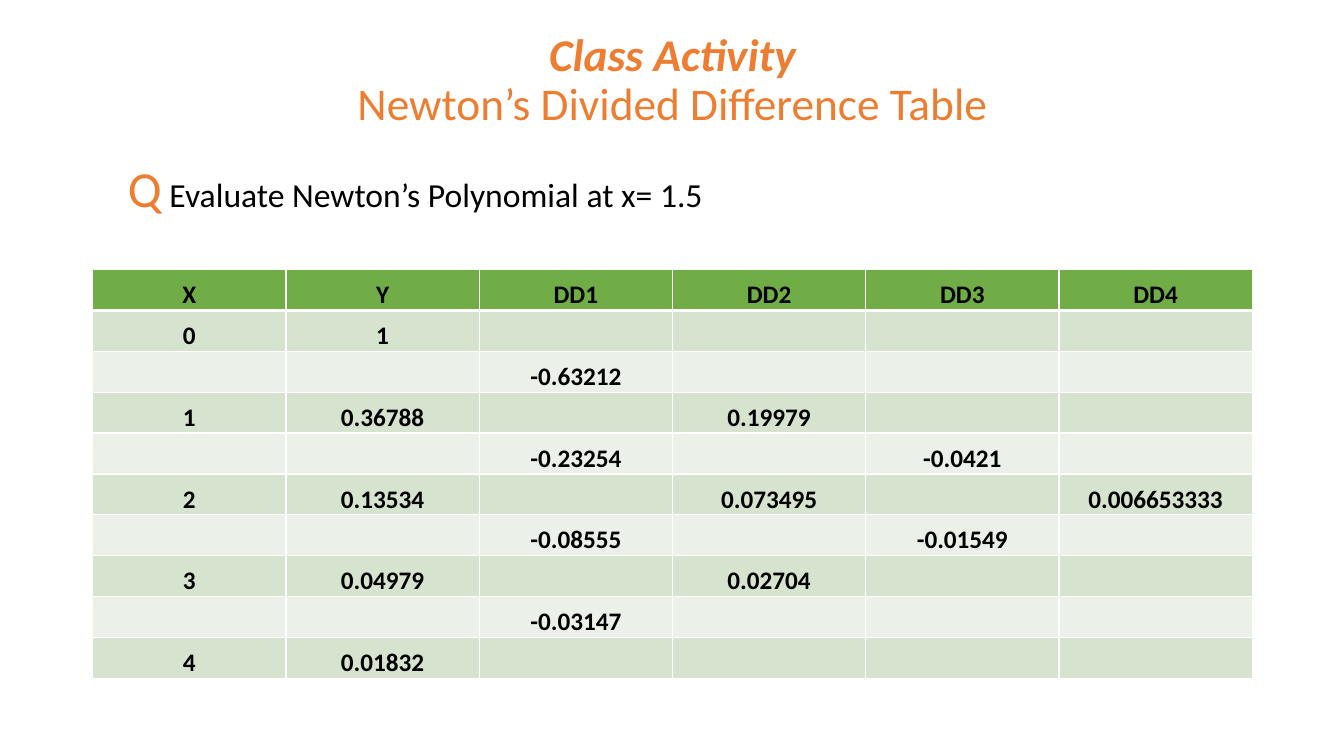
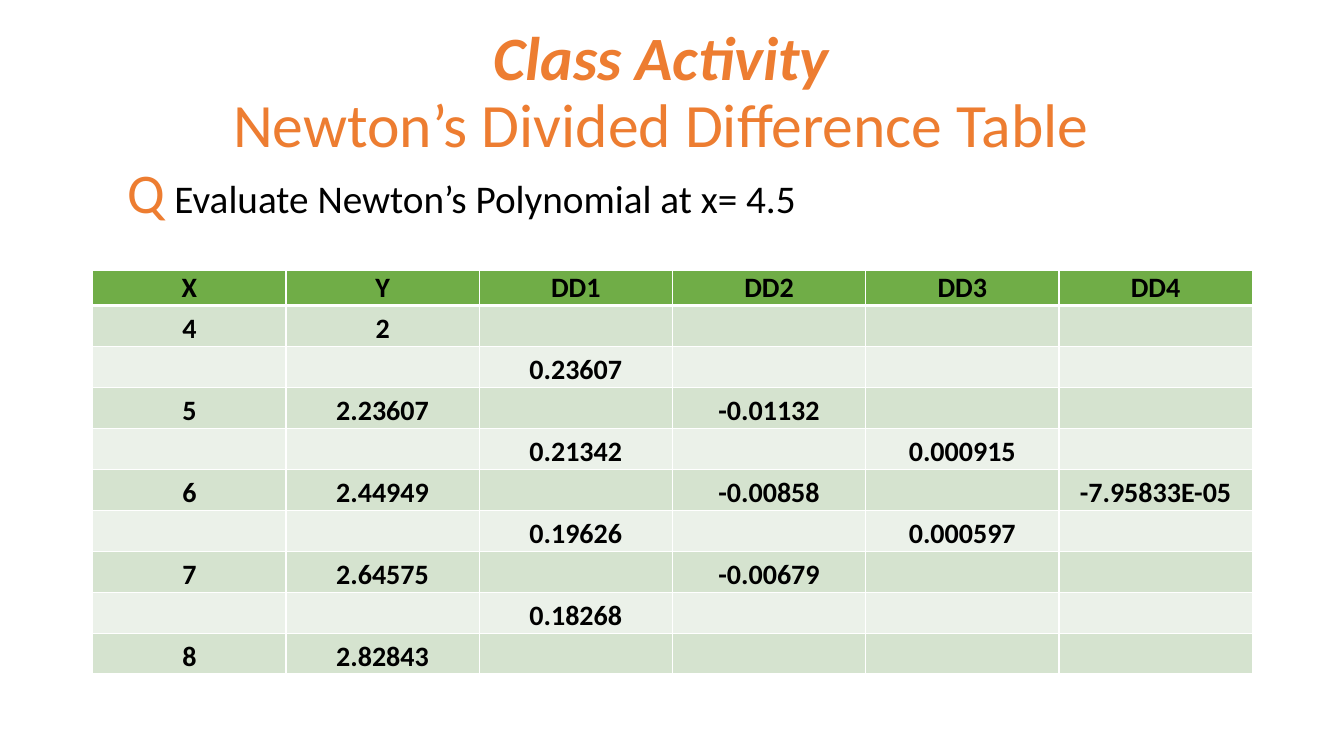
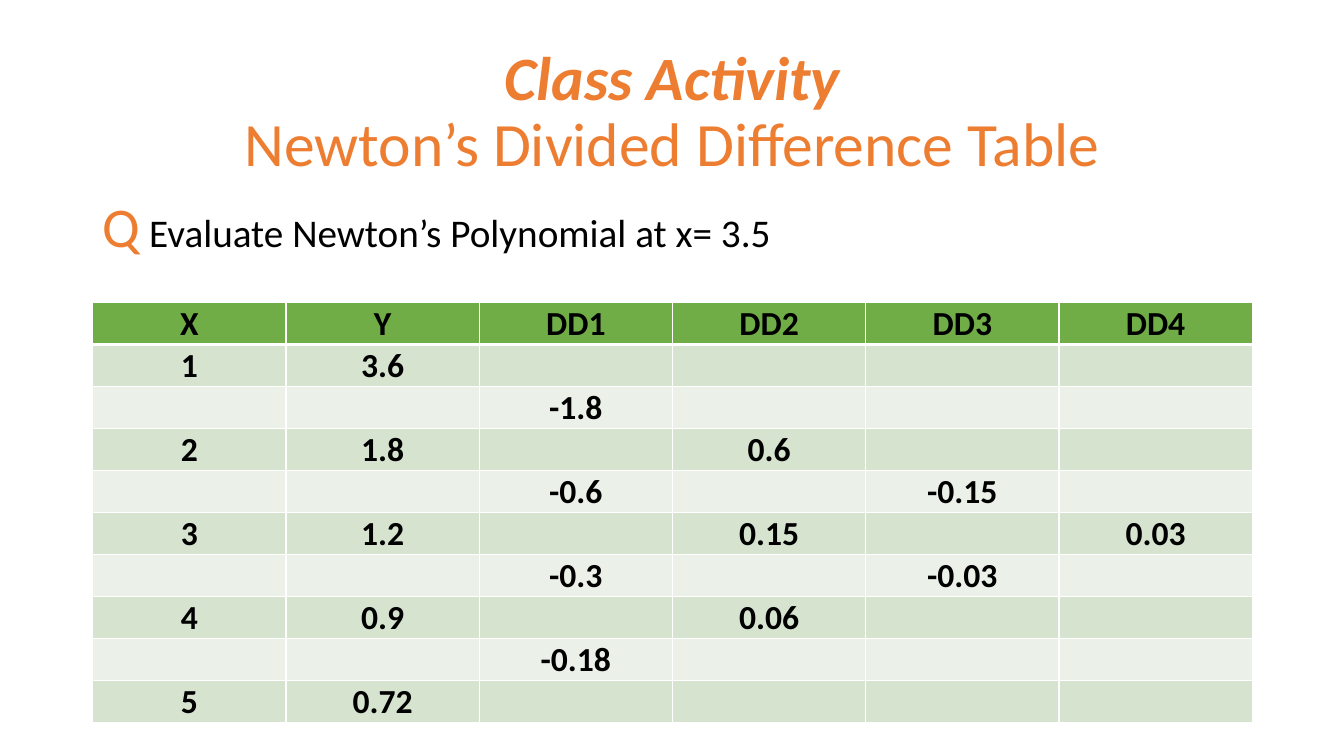
import copy
from dataclasses import dataclass

import lxml.etree
import pptx
import pptx.dml.color
import pptx.enum.text
import pptx.oxml.ns
import pptx.util

Inches = pptx.util.Inches
Pt = pptx.util.Pt

# Shared look
FONT = "Calibri"
ORANGE, BLACK, WHITE = "ED7D31", "000000", "FFFFFF"
HEADER_GREEN, DARK_BAND, LIGHT_BAND = "70AD47", "D5E3CF", "EBF1E9"
HEADINGS = ["X", "Y", "DD1", "DD2", "DD3", "DD4"]
ROW_COUNT = 10
TABLE_LEFT, TABLE_WIDTH = 0.92, 11.5
TITLE_ONLY = 5


@dataclass
class Frame:
    left: float
    top: float
    width: float
    height: float

    def lengths(self) -> list[int]:
        return [Inches(value) for value in (self.left, self.top, self.width, self.height)]


@dataclass
class Activity:
    title_frame: Frame
    title_size: float
    question_frame: Frame
    letter_size: float
    question_size: float
    x_value: str
    table_top: float
    table_height: float
    header_height: float
    cell_size: float
    columns: list[list[str]]  # X, Y, then each order of difference


ACTIVITIES = [
    Activity(
        Frame(0.92, 0.4, 11.5, 0.82), 32.4, Frame(1.17, 1.51, 10.35, 0.71), 36, 24, "1.5",
        2.67, 4.06, 0.41, 18,
        [["0", "1", "2", "3", "4"],
         ["1", "0.36788", "0.13534", "0.04979", "0.01832"],
         ["-0.63212", "-0.23254", "-0.08555", "-0.03147"],
         ["0.19979", "0.073495", "0.02704"],
         ["-0.0421", "-0.01549"],
         ["0.006653333"]]),
    Activity(
        Frame(0.81, 0.21, 11.5, 1.45), 44, Frame(1.17, 1.51, 10.35, 0.77), 40, 28, "4.5",
        2.68, 3.99, 0.33, 20,
        [["4", "5", "6", "7", "8"],
         ["2", "2.23607", "2.44949", "2.64575", "2.82843"],
         ["0.23607", "0.21342", "0.19626", "0.18268"],
         ["-0.01132", "-0.00858", "-0.00679"],
         ["0.000915", "0.000597"],
         ["-7.95833E-05"]]),
    Activity(
        Frame(0.92, 0.4, 11.5, 1.45), 44, Frame(0.92, 1.85, 10.35, 0.77), 40, 28, "3.5",
        3, 4.1, 0.41, 24,
        [["1", "2", "3", "4", "5"],
         ["3.6", "1.8", "1.2", "0.9", "0.72"],
         ["-1.8", "-0.6", "-0.3", "-0.18"],
         ["0.6", "0.15", "0.06"],
         ["-0.15", "-0.03"],
         ["0.03"]]),
]


def color(value: str) -> pptx.dml.color.RGBColor:
    return pptx.dml.color.RGBColor.from_string(value)


def add_span(para, text: str, size: float, ink: str, bold: bool = False, italic: bool = False):
    span = para.add_run()
    span.text = text
    span.font.name = FONT
    span.font.size = Pt(size)
    span.font.bold = bold
    span.font.italic = italic
    span.font.color.rgb = color(ink)
    return span


def add_title(page, activity: Activity) -> None:
    title = page.shapes.title
    title.left, title.top, title.width, title.height = activity.title_frame.lengths()
    frame = title.text_frame
    frame.word_wrap = True
    frame.auto_size = pptx.enum.text.MSO_AUTO_SIZE.NONE
    frame.vertical_anchor = pptx.enum.text.MSO_ANCHOR.MIDDLE
    para = frame.paragraphs[0]
    para.alignment = pptx.enum.text.PP_ALIGN.CENTER
    para.line_spacing = 0.9
    span = add_span(para, "Class Activity", activity.title_size, ORANGE, True, True)
    para.add_line_break()
    # The break takes the size of the first line
    line_break = para._p.find(pptx.oxml.ns.qn("a:br"))
    line_break.append(copy.deepcopy(span._r.rPr))
    add_span(para, "Newton’s Divided Difference Table", activity.title_size, ORANGE)


def add_question(page, activity: Activity) -> None:
    box = page.shapes.add_textbox(*activity.question_frame.lengths())
    box.text_frame.word_wrap = True
    para = box.text_frame.paragraphs[0]
    add_span(para, "Q", activity.letter_size, ORANGE)
    add_span(para, f" Evaluate Newton’s Polynomial at x= {activity.x_value}",
             activity.question_size, BLACK)


def set_borders(cell, bottom_width: float, top_width: float) -> None:
    properties = cell._tc.get_or_add_tcPr()
    widths = {"a:lnL": 1, "a:lnR": 1, "a:lnT": top_width, "a:lnB": bottom_width}
    for position, (tag, width) in enumerate(widths.items()):
        line = lxml.etree.Element(pptx.oxml.ns.qn(tag), w=str(Pt(width)))
        fill = lxml.etree.SubElement(line, pptx.oxml.ns.qn("a:solidFill"))
        lxml.etree.SubElement(fill, pptx.oxml.ns.qn("a:srgbClr"), val=WHITE)
        properties.insert(position, line)


def value_grid(columns: list[list[str]]) -> list[list[str]]:
    """Put each difference between the two values it comes from."""
    grid = [HEADINGS] + [[""] * len(HEADINGS) for _ in range(ROW_COUNT - 1)]
    for column, values in enumerate(columns):
        first_row = max(column, 1)
        for index, value in enumerate(values):
            grid[first_row + 2 * index][column] = value
    return grid


def add_difference_table(page, activity: Activity) -> None:
    frame = Frame(TABLE_LEFT, activity.table_top, TABLE_WIDTH, activity.table_height)
    table = page.shapes.add_table(ROW_COUNT, len(HEADINGS), *frame.lengths()).table
    for column in table.columns:
        column.width = Inches(TABLE_WIDTH / len(HEADINGS))
    body_height = (activity.table_height - activity.header_height) / (ROW_COUNT - 1)
    for row, values in enumerate(value_grid(activity.columns)):
        table.rows[row].height = Inches(body_height if row else activity.header_height)
        band = (DARK_BAND if row % 2 else LIGHT_BAND) if row else HEADER_GREEN
        for column, value in enumerate(values):
            cell = table.cell(row, column)
            cell.margin_left = cell.margin_top = cell.margin_right = Inches(0.01)
            cell.margin_bottom = 0
            cell.vertical_anchor = pptx.enum.text.MSO_ANCHOR.BOTTOM
            cell.fill.solid()
            cell.fill.fore_color.rgb = color(band)
            set_borders(cell, 1 if row else 3, 3 if row == 1 else 1)
            if value:
                para = cell.text_frame.paragraphs[0]
                para.alignment = pptx.enum.text.PP_ALIGN.CENTER
                add_span(para, value, activity.cell_size, BLACK, True)


def main() -> None:
    deck = pptx.Presentation()
    deck.slide_width, deck.slide_height = Inches(13.33), Inches(7.5)
    for activity in ACTIVITIES:
        page = deck.slides.add_slide(deck.slide_layouts[TITLE_ONLY])
        add_title(page, activity)
        add_difference_table(page, activity)
        add_question(page, activity)
    deck.save("out.pptx")


if __name__ == "__main__":
    main()
